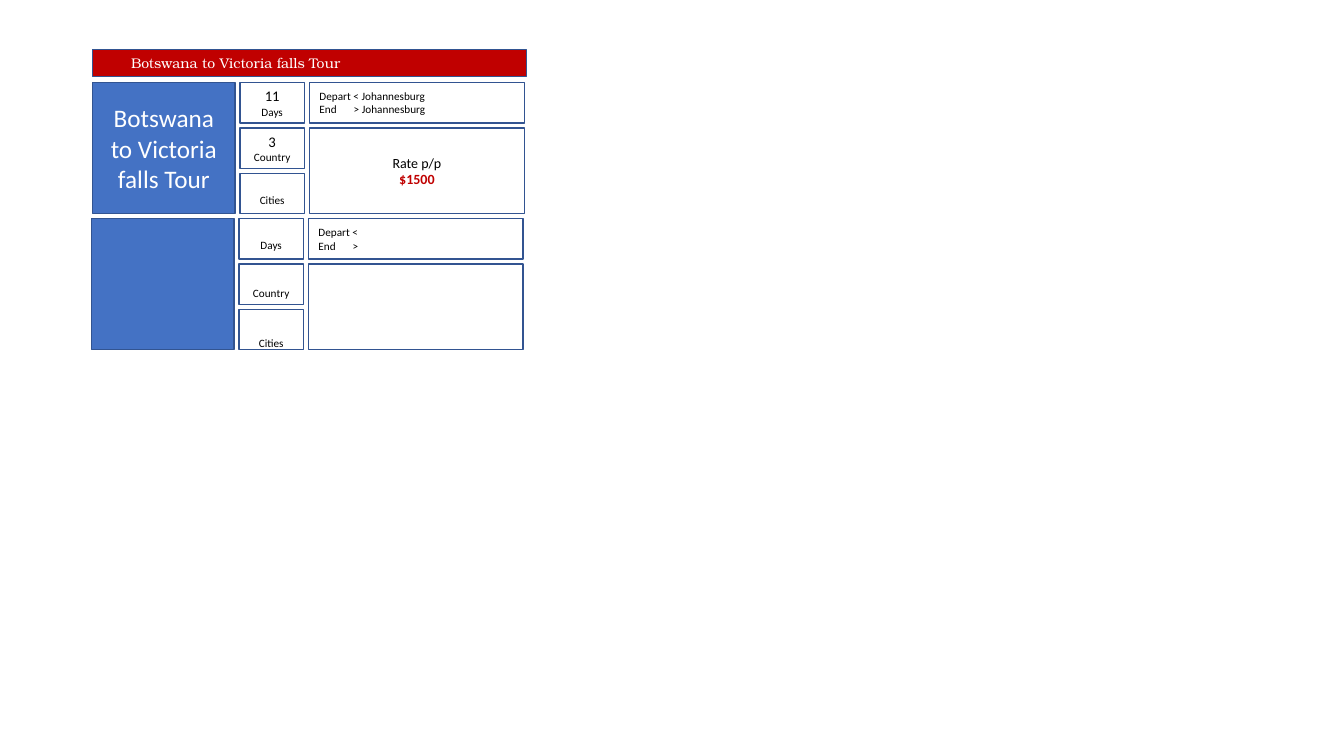
from lxml import etree
from pptx import Presentation
from pptx.dml.color import RGBColor
from pptx.enum import shapes, text
from pptx.oxml.ns import qn
from pptx.util import Inches, Pt

TITLE = "Botswana to Victoria falls Tour"
BLUE, RED, EDGE, WHITE, BLACK = "4472C4", "C00000", "325491", "FFFFFF", "000000"

# Counts: (value, label, bottom inset in inches)
TOURS = [
    {
        "name": TITLE,
        "counts": [("11", "Days", 0.05), ("3", "Country", 0.05), ("", "Cities", 0.07)],
        "route": ["Depart < Johannesburg", "End\t> Johannesburg"],
        "rate": ["Rate p/p", "$1500"],
    },
    {
        "name": "",
        "counts": [("", "Days", 0.07), ("", "Country", 0.05), ("", "Cities", 0)],
        "route": ["Depart <", "End\t>"],
        "rate": [],
    },
]

# Grid in inches: column name -> (left, width)
COLUMNS = {"name": (0.92, 1.41), "count": (2.38, 0.64), "detail": (3.07, 2.13)}
TOP, ROW_STEP, ROW_HEIGHT, ROWS_PER_TOUR = 0.82, 0.45, 0.4, 3
TOUR_SHIFT = -0.01
ARROW_TAB = 0.34

LEFT, CENTER = text.PP_ALIGN.LEFT, text.PP_ALIGN.CENTER
MIDDLE, BOTTOM = text.MSO_ANCHOR.MIDDLE, text.MSO_ANCHOR.BOTTOM


def color(value):
    return RGBColor.from_string(value)


def write(frame, lines, align=CENTER, anchor=MIDDLE, bottom=0.05):
    """Fill a text frame with lines of (words, size, colour, font settings)."""
    frame.word_wrap = True
    frame.vertical_anchor = anchor
    frame.margin_bottom = Inches(bottom)
    for index, (words, size, ink, settings) in enumerate(lines):
        para = frame.add_paragraph() if index else frame.paragraphs[0]
        para.alignment = align
        if "\t" in words:
            tabs = etree.SubElement(para._p.get_or_add_pPr(), qn("a:tabLst"))
            etree.SubElement(tabs, qn("a:tab"), pos=str(Inches(ARROW_TAB)), algn="l")
        span = para.add_run()
        span.text = words
        span.font.color.rgb = color(ink)
        for key, value in {"name": "Calibri", "size": Pt(size), **settings}.items():
            setattr(span.font, key, value)


def add_box(page, left, top, width, height, fill=WHITE):
    box = page.shapes.add_shape(
        shapes.MSO_SHAPE.RECTANGLE, *map(Inches, (left, top, width, height)))
    box.shadow.inherit = False
    box.fill.solid()
    box.fill.fore_color.rgb = color(fill)
    box.line.color.rgb = color(EDGE)
    box.line.width = Pt(1)
    return box


def add_cell(page, column, tour, row, rows=1, fill=WHITE):
    """Add a box at a grid place and return its text frame."""
    left, width = COLUMNS[column]
    top = TOP + (tour * ROWS_PER_TOUR + row) * ROW_STEP
    height = (rows - 1) * ROW_STEP + ROW_HEIGHT
    return add_box(page, left + tour * TOUR_SHIFT, top, width, height, fill).text_frame


def add_header(page):
    bar = add_box(page, 0.92, 0.49, 4.3, 0.27, RED)
    title = page.shapes.title
    title.element.addprevious(bar.element)
    place = {"left": 1.2, "top": 0.5, "width": 4.02, "height": 0.26}
    for key, value in place.items():
        setattr(title, key, Inches(value))
    title.text_frame.auto_size = text.MSO_AUTO_SIZE.NONE
    write(title.text_frame, [(TITLE, 10, WHITE, {"name": "TeX Gyre Bonum"})],
          align=LEFT, anchor=BOTTOM)
    title.text_frame.paragraphs[0].line_spacing = 0.9


def add_tour(page, index, tour):
    name = add_cell(page, "name", index, 0, ROWS_PER_TOUR, BLUE)
    if tour["name"]:
        write(name, [(tour["name"], 18, WHITE, {})])

    for row, (value, label, bottom) in enumerate(tour["counts"]):
        lines = [(value, 10.5, BLACK, {})] if value else []
        write(add_cell(page, "count", index, row), lines + [(label, 8, BLACK, {})],
              anchor=MIDDLE if value else BOTTOM, bottom=bottom)

    write(add_cell(page, "detail", index, 0),
          [(line, 8, BLACK, {}) for line in tour["route"]], align=LEFT)

    rate = add_cell(page, "detail", index, 1, 2)
    if tour["rate"]:
        caption, price = tour["rate"]
        write(rate, [(caption, 10, BLACK, {}), (price, 10, RED, {"bold": True})])


def main():
    deck = Presentation()
    deck.slide_width, deck.slide_height = Inches(13.33), Inches(7.5)
    page = deck.slides.add_slide(deck.slide_layouts.get_by_name("Title Only"))
    add_header(page)
    for index, tour in enumerate(TOURS):
        add_tour(page, index, tour)
    deck.save("out.pptx")


if __name__ == "__main__":
    main()
